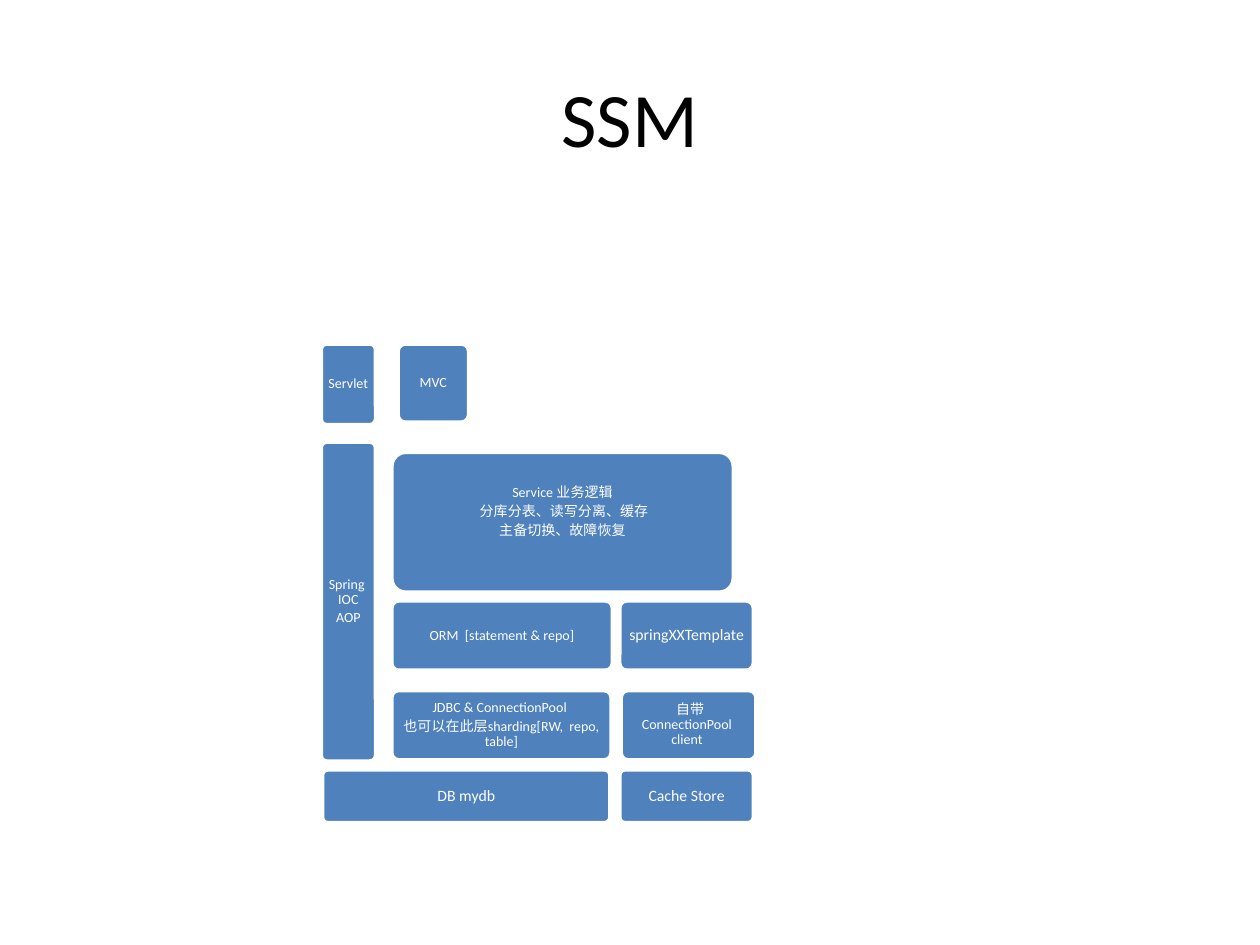
"""Build the SSM layered architecture slide."""
from pptx import Presentation
from pptx.dml.color import RGBColor
from pptx.enum.shapes import MSO_SHAPE as Shape
from pptx.enum.text import MSO_ANCHOR as Anchor, PP_ALIGN as Align
from pptx.util import Pt

BLACK = RGBColor(0x00, 0x00, 0x00)
BLUE = RGBColor(0x4F, 0x81, 0xBD)
WHITE = RGBColor(0xFF, 0xFF, 0xFF)
FONT = "Calibri"


def write_line(para, text, size, color):
    para.alignment = Align.CENTER
    span = para.add_run()
    span.text = text
    span.font.name = FONT
    span.font.size = Pt(size)
    span.font.color.rgb = color


deck = Presentation()
deck.slide_width, deck.slide_height = Pt(720), Pt(540)
page = deck.slides.add_slide(deck.slide_layouts[6])

title = page.shapes.add_textbox(Pt(36), Pt(21.6), Pt(648), Pt(90))
title.text_frame.word_wrap = True
title.text_frame.vertical_anchor = Anchor.MIDDLE
write_line(title.text_frame.paragraphs[0], "SSM", 44, BLACK)

LAYERS = [
    (184.3, 439.9, 164.2, 30.2, 9, ["DB mydb"]),
    (223.9, 394.6, 125.3, 39.6, 8,
     ["JDBC & ConnectionPool ", "也可以在此层sharding[RW,  repo, table]"]),
    (355, 394.6, 77, 39.6, 8, [" 自带 ConnectionPool  client "]),
    (223.9, 343.4, 126, 39.6, 8, ["ORM  [statement & repo]"]),
    (183.6, 252.7, 31, 182.2, 8, ["Spring  IOC", "AOP"]),
    (223.9, 258.5, 195.1, 79.9, 8,
     ["Service 业务逻辑", " 分库分表、读写分离、缓存", "主备切换、故障恢复"]),
    (183.6, 196.6, 31, 46.1, 8, ["Servlet"]),
    (227.5, 196.6, 40.3, 44.6, 8, ["MVC"]),
    (354.2, 439.9, 76.3, 30.2, 9, ["Cache Store"]),
    (354.2, 343.4, 76.3, 39.6, 9, ["springXXTemplate"]),
]

for left, top, width, height, size, lines in LAYERS:
    box = page.shapes.add_shape(
        Shape.ROUNDED_RECTANGLE, Pt(left), Pt(top), Pt(width), Pt(height))
    box.adjustments[0] = 0.1
    box.shadow.inherit = False
    box.fill.solid()
    box.fill.fore_color.rgb = BLUE
    box.line.color.rgb = WHITE
    box.line.width = Pt(2)
    frame = box.text_frame
    frame.word_wrap = True
    frame.vertical_anchor = Anchor.MIDDLE
    inset = Pt(0.3 * size - 0.2)
    frame.margin_left = frame.margin_right = inset
    frame.margin_top = frame.margin_bottom = inset
    if len(lines) == 3:
        frame.margin_bottom = Pt(14)
    for index, text in enumerate(lines):
        para = frame.add_paragraph() if index else frame.paragraphs[0]
        para.line_spacing = 0.9
        para.space_after = Pt(2)
        write_line(para, text, size, WHITE)

deck.save("out.pptx")
